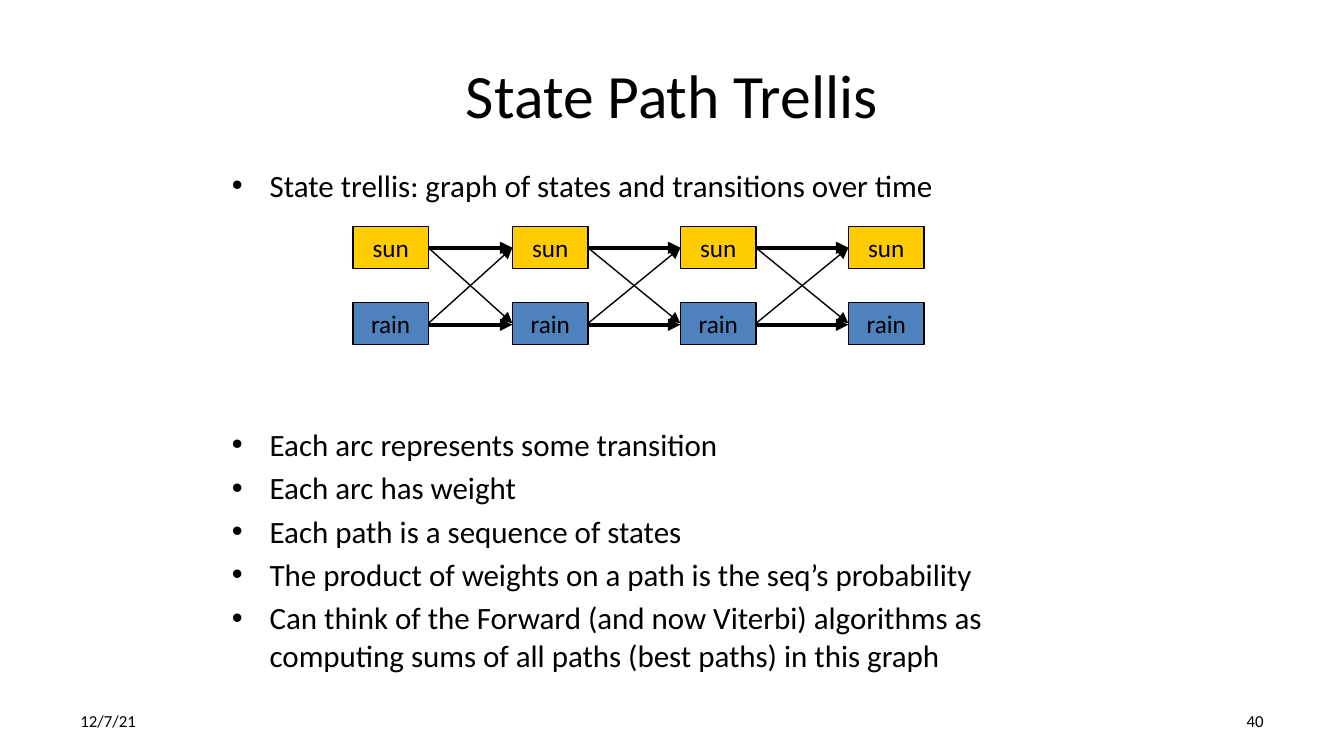
from pptx import Presentation
from pptx.dml.color import RGBColor
from pptx.enum.shapes import MSO_CONNECTOR, MSO_SHAPE
from pptx.enum.text import MSO_ANCHOR, MSO_AUTO_SIZE, PP_ALIGN
from pptx.oxml.ns import qn
from pptx.util import Pt
from lxml import etree

LEFT, CENTER, RIGHT = PP_ALIGN.LEFT, PP_ALIGN.CENTER, PP_ALIGN.RIGHT
TOP, MIDDLE = MSO_ANCHOR.TOP, MSO_ANCHOR.MIDDLE
NO_AUTOFIT = MSO_AUTO_SIZE.NONE
RECTANGLE = MSO_SHAPE.RECTANGLE
STRAIGHT = MSO_CONNECTOR.STRAIGHT

BLACK = "000000"


def color(hex_string):
    return RGBColor.from_string(hex_string)


def write(shape, lines, size, alignment, anchor=MIDDLE, gaps=None, bullet=False):
    frame_format = {
        "word_wrap": True, "auto_size": NO_AUTOFIT, "vertical_anchor": anchor,
        "margin_left": Pt(7.2), "margin_right": Pt(7.2),
        "margin_top": Pt(3.6), "margin_bottom": Pt(3.6),
    }
    font_format = {"name": "Calibri", "size": Pt(size)}
    frame = shape.text_frame
    for name, value in frame_format.items():
        setattr(frame, name, value)
    for index, line in enumerate(lines):
        paragraph = frame.paragraphs[0] if index == 0 else frame.add_paragraph()
        paragraph.text = line
        paragraph.alignment = alignment
        paragraph.space_before = Pt(gaps[index] if gaps else 0)
        if bullet:
            properties = paragraph._p.get_or_add_pPr()
            properties.set("marL", str(Pt(20.25)))
            properties.set("indent", str(-Pt(20.25)))
            etree.SubElement(properties, qn("a:buFont"), typeface="Arial")
            etree.SubElement(properties, qn("a:buChar"), char="•")
        font = paragraph.runs[0].font
        for name, value in font_format.items():
            setattr(font, name, value)
        font.color.rgb = color(BLACK)


presentation = Presentation()
presentation.slide_width = Pt(720)
presentation.slide_height = Pt(405)
slide = presentation.slides.add_slide(presentation.slide_layouts[1])

# Title and bullet list; the wide gap after the first bullet holds the trellis
title, body = slide.placeholders
places = ((title, (36, 16.5, 648, 67.5)), (body, (117, 85.5, 486, 302)))
for placeholder, place in places:
    for name, value in zip(("left", "top", "width", "height"), place):
        setattr(placeholder, name, Pt(value))

write(title, ["State Path Trellis"], 33, CENTER)
bullets = [
    "State trellis: graph of states and transitions over time",
    "Each arc represents some transition",
    "Each arc has weight",
    "Each path is a sequence of states",
    "The product of weights on a path is the seq’s probability",
    "Can think of the Forward (and now Viterbi) algorithms as "
    "computing sums of all paths (best paths) in this graph",
]
write(body, bullets, 16.6, LEFT, TOP, gaps=[0, 119] + [3.3] * 4, bullet=True)

# Date and slide number
for text, left, alignment in (("12/7/21", 36, LEFT), ("40", 516, RIGHT)):
    footer = slide.shapes.add_textbox(Pt(left), Pt(375.3), Pt(168), Pt(21.6))
    write(footer, [text], 9, alignment)

# State boxes, one column per time step
box_width, box_height = 40.5, 22.5
columns = [189, 274.5, 364.5, 454.5]
states = (("sun", 121.5, "FFCC00"), ("rain", 162, "4F81BD"))
for left in columns:
    for state, top, fill in states:
        box = slide.shapes.add_shape(
            RECTANGLE, Pt(left), Pt(top), Pt(box_width), Pt(box_height))
        box.shadow.inherit = False
        box.fill.solid()
        box.fill.fore_color.rgb = color(fill)
        box.line.color.rgb = color(BLACK)
        box.line.width = Pt(0.75)
        write(box, [state], 13.5, CENTER)

# Transitions: thick arrows keep the state, thin ones change it
sun_y, rain_y = (top + box_height / 2 for state, top, fill in states)
transitions = (
    (sun_y, sun_y, 2.25),
    (sun_y, rain_y, 0.75),
    (rain_y, sun_y, 0.75),
    (rain_y + 0.75, rain_y + 0.75, 2.25),
)
for left, next_left in zip(columns, columns[1:]):
    for start_y, end_y, weight in transitions:
        arrow = slide.shapes.add_connector(
            STRAIGHT, Pt(left + box_width), Pt(start_y), Pt(next_left), Pt(end_y))
        arrow.line.color.rgb = color(BLACK)
        arrow.line.width = Pt(weight)
        etree.SubElement(arrow.line._get_or_add_ln(), qn("a:tailEnd"), type="triangle")
        etree.SubElement(arrow._element.spPr, qn("a:effectLst"))

presentation.save("out.pptx")
